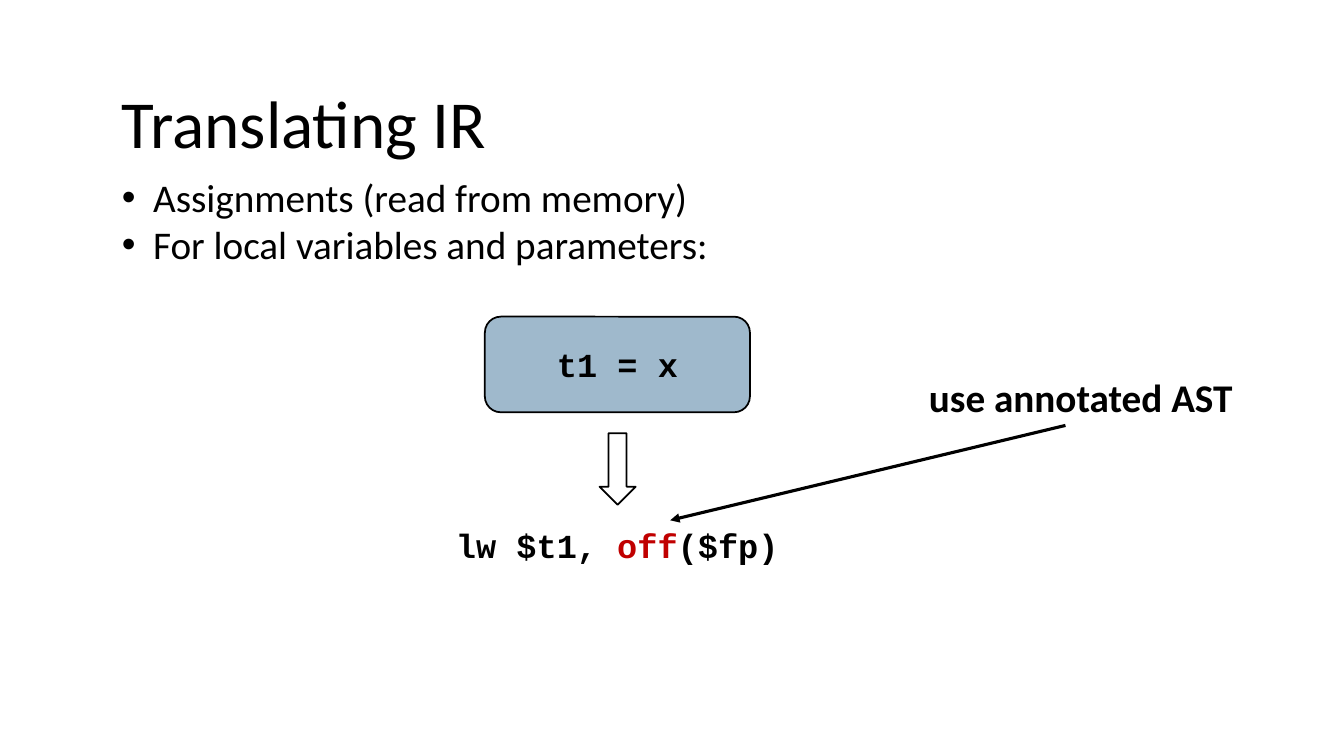
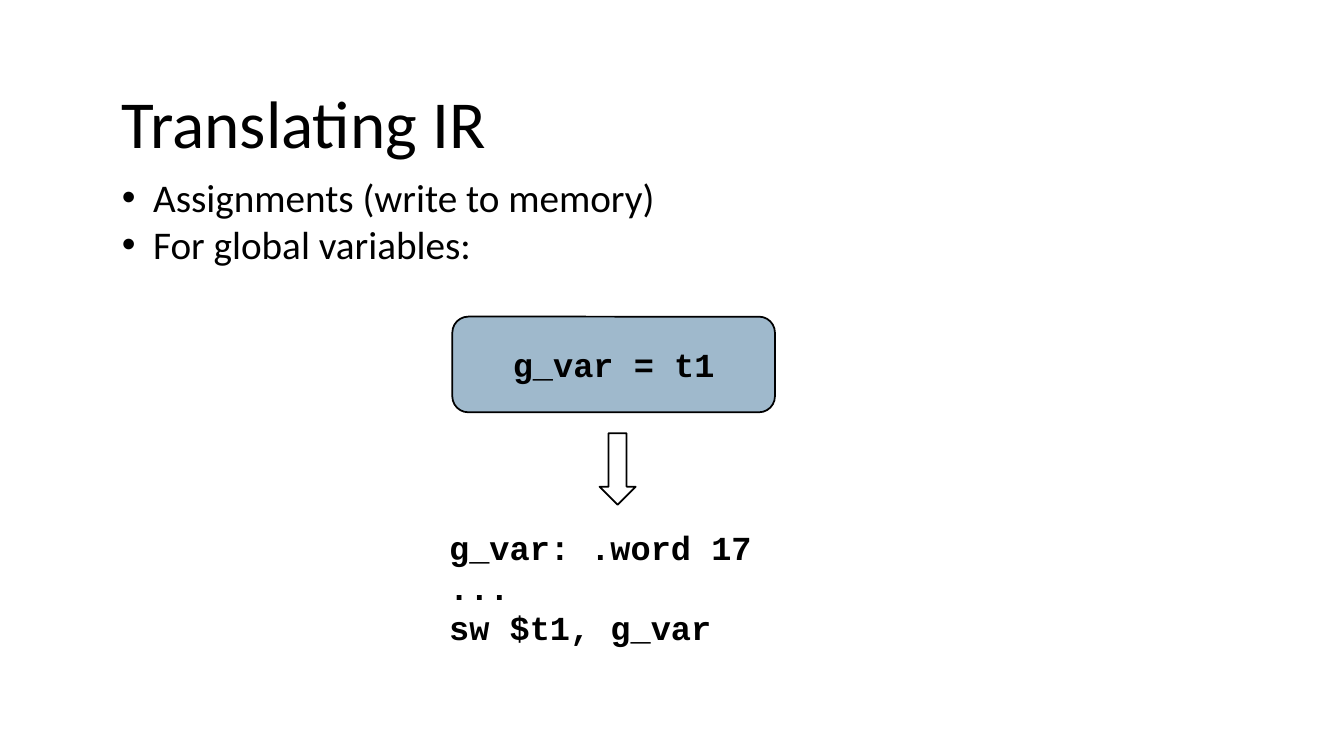
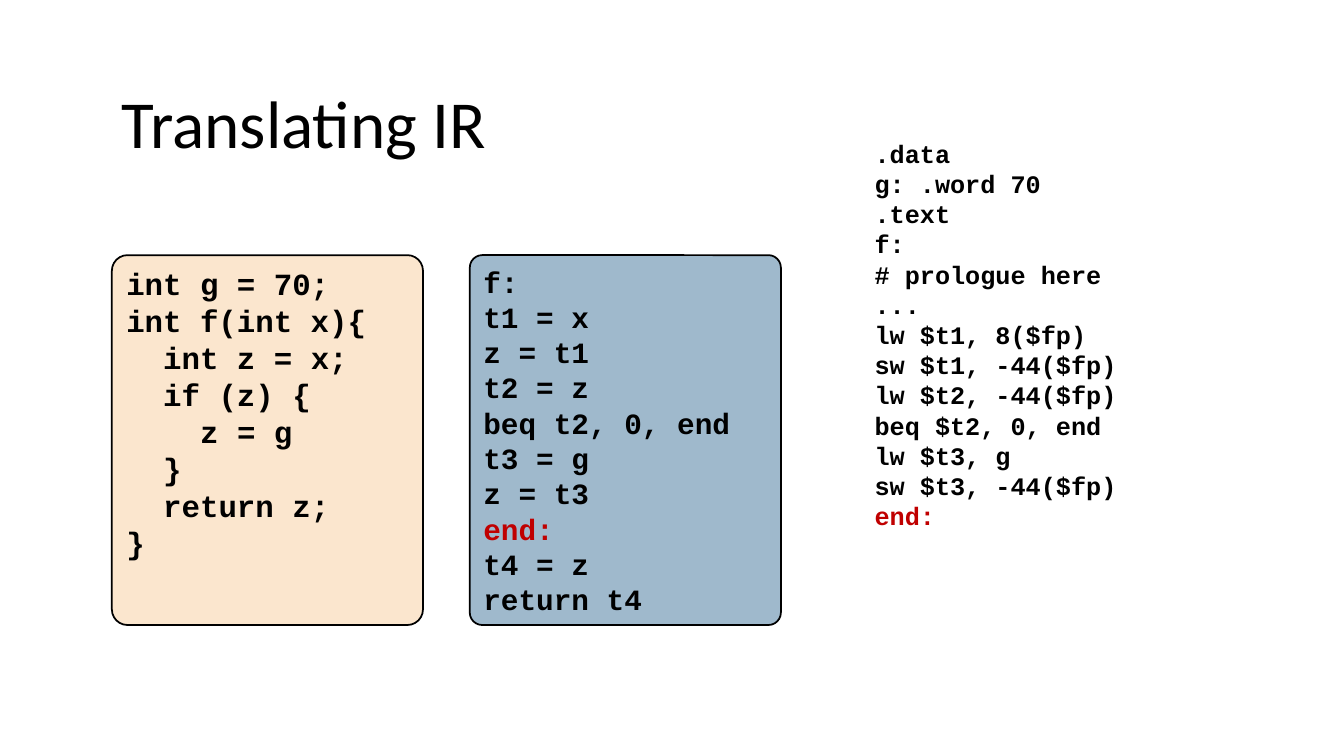
from lxml import etree
from pptx import Presentation
from pptx.dml.color import RGBColor
from pptx.enum.shapes import MSO_CONNECTOR, MSO_SHAPE
from pptx.enum.text import MSO_ANCHOR, PP_ALIGN
from pptx.oxml.ns import qn
from pptx.util import Cm, Pt

ROUNDED = MSO_SHAPE.ROUNDED_RECTANGLE
DOWN_ARROW = MSO_SHAPE.DOWN_ARROW
STRAIGHT = MSO_CONNECTOR.STRAIGHT
TOP, MIDDLE = MSO_ANCHOR.TOP, MSO_ANCHOR.MIDDLE
LEFT, CENTER = PP_ALIGN.LEFT, PP_ALIGN.CENTER

COLORS = {
    "ink": "000000",
    "accent": "C00000",
    "ir": "40749B",
    "source": "FBE6CE",
    "paper": "FFFFFF",
}
PROSE, CODE = "Calibri", "Courier New"
CODE_LEADING = 1.2
CODE_CHAR_WIDTH = 0.6
BULLET_INDENT = Cm(0.79)


def rgb(name):
    return RGBColor.from_string(COLORS[name])


def write(shape, lines, size=28, font=PROSE, bold=False, align=LEFT,
          anchor=TOP, accent=None, bullet=False):
    """Fill a shape with formatted lines, marking the accent wording."""
    frame = shape.text_frame
    frame.word_wrap = True
    frame.vertical_anchor = anchor
    for number, line in enumerate(lines):
        paragraph = frame.add_paragraph() if number else frame.paragraphs[0]
        paragraph.alignment = align
        properties = paragraph._p.get_or_add_pPr()
        wording = line.lstrip()
        if font == CODE:
            paragraph.line_spacing = Pt(size * CODE_LEADING)
            depth = len(line) - len(wording)
            properties.set("marL", str(Pt(depth * size * CODE_CHAR_WIDTH)))
        if bullet:
            properties.set("marL", str(BULLET_INDENT))
            properties.set("indent", str(-BULLET_INDENT))
            etree.SubElement(properties, qn("a:buFont")).set("typeface", "Arial")
            etree.SubElement(properties, qn("a:buChar")).set("char", "•")
        pieces = wording.partition(accent) if accent else [wording]
        for piece in filter(None, pieces):
            run = paragraph.add_run()
            run.text = piece
            run.font.name = font
            run.font.size = Pt(size)
            run.font.bold = bold
            run.font.color.rgb = rgb("accent" if piece == accent else "ink")


class Deck:
    """Holds the shared style and the slide being built."""

    def __init__(self):
        self.presentation = Presentation()
        self.presentation.slide_width = Cm(33.87)
        self.presentation.slide_height = Cm(19.05)
        self.slide = None

    def start(self, title):
        blank = self.presentation.slide_layouts[6]
        self.slide = self.presentation.slides.add_slide(blank)
        self.text((2.82, 1.93, 28.17, 2.31), [title], size=48)

    def text(self, place, lines, **style):
        box = self.slide.shapes.add_textbox(*map(Cm, place))
        write(box, lines, **style)

    def bullets(self, *lines):
        self.text((2.82, 4.24, 28.63, 2.64), lines, bullet=True)

    def code(self, place, lines, size=24, **style):
        self.text(place, lines, size=size, font=CODE, bold=True, **style)

    def shape(self, kind, place, fill, opacity=100):
        shape = self.slide.shapes.add_shape(kind, *map(Cm, place))
        shape.shadow.inherit = False
        shape.fill.solid()
        shape.fill.fore_color.rgb = rgb(fill)
        if opacity < 100:
            tint = shape._element.spPr.find(qn("a:solidFill"))[0]
            etree.SubElement(tint, qn("a:alpha")).set("val", str(opacity * 1000))
        shape.line.color.rgb = rgb("ink")
        shape.line.width = Pt(1.25)
        return shape

    def panel(self, place, lines, fill="ir", corner=None, size=24, **style):
        panel = self.shape(ROUNDED, place, fill, 50 if fill == "ir" else 100)
        if corner is not None:
            panel.adjustments[0] = corner
        write(panel, lines, size=size, font=CODE, bold=True, **style)

    def translation(self, left, width, statement):
        self.panel((left, 7.98, width, 2.41), [statement],
                   align=CENTER, anchor=MIDDLE)
        self.shape(DOWN_ARROW, (15.11, 10.92, 0.91, 1.8), "paper")

    def pointer(self, *ends):
        pointer = self.slide.shapes.add_connector(STRAIGHT, *map(Cm, ends))
        pointer.line.color.rgb = rgb("ink")
        pointer.line.width = Pt(2.25)
        outline = pointer.line._get_or_add_ln()
        etree.SubElement(outline, qn("a:tailEnd")).set("type", "triangle")
        etree.SubElement(pointer._element.spPr, qn("a:effectLst"))


def main():
    deck = Deck()
    title = "Translating IR"

    deck.start(title)
    deck.bullets("Assignments (read from memory)",
                 "For local variables and parameters:")
    deck.translation(12.22, 6.68, "t1 = x")
    deck.code((7.72, 12.5, 15.67, 2.46), ["lw $t1, off($fp)"],
              align=CENTER, anchor=MIDDLE, accent="off")
    deck.text((23.16, 9.27, 8.89, 1.45), ["use annotated AST"], bold=True)
    deck.pointer(26.85, 10.72, 16.89, 13.11)

    deck.start(title)
    deck.bullets("Assignments (write to memory)", "For global variables:")
    deck.translation(11.4, 8.13, "g_var = t1")
    deck.code((11.07, 12.47, 15.67, 4.65),
              ["g_var: .word 17", "...", "sw $t1, g_var"], anchor=MIDDLE)

    deck.start(title)
    assembly = [
        ".data", "g: .word 70", ".text", "f:", "# prologue here", "...",
        "lw $t1, 8($fp)", "sw $t1, -44($fp)", "lw $t2, -44($fp)",
        "beq $t2, 0, end", "lw $t3, g", "sw $t3, -44($fp)", "end:",
    ]
    source = [
        "int g = 70;", "int f(int x){", "  int z = x;", "  if (z) {",
        "    z = g", "  }", "  return z;", "}",
    ]
    intermediate = [
        "f:", "t1 = x", "z = t1", "t2 = z", "beq t2, 0, end", "t3 = g",
        "z = t3", "end:", "t4 = z", "return t4",
    ]
    deck.code((21.79, 3.35, 11, 10.26), assembly, size=18, accent="end:")
    deck.panel((2.82, 6.43, 7.84, 9.32), source, fill="source",
               corner=0.05, size=22)
    deck.panel((11.84, 6.43, 7.84, 9.32), intermediate, corner=0.04,
               size=21, accent="end:")

    deck.presentation.save("out.pptx")


if __name__ == "__main__":
    main()
